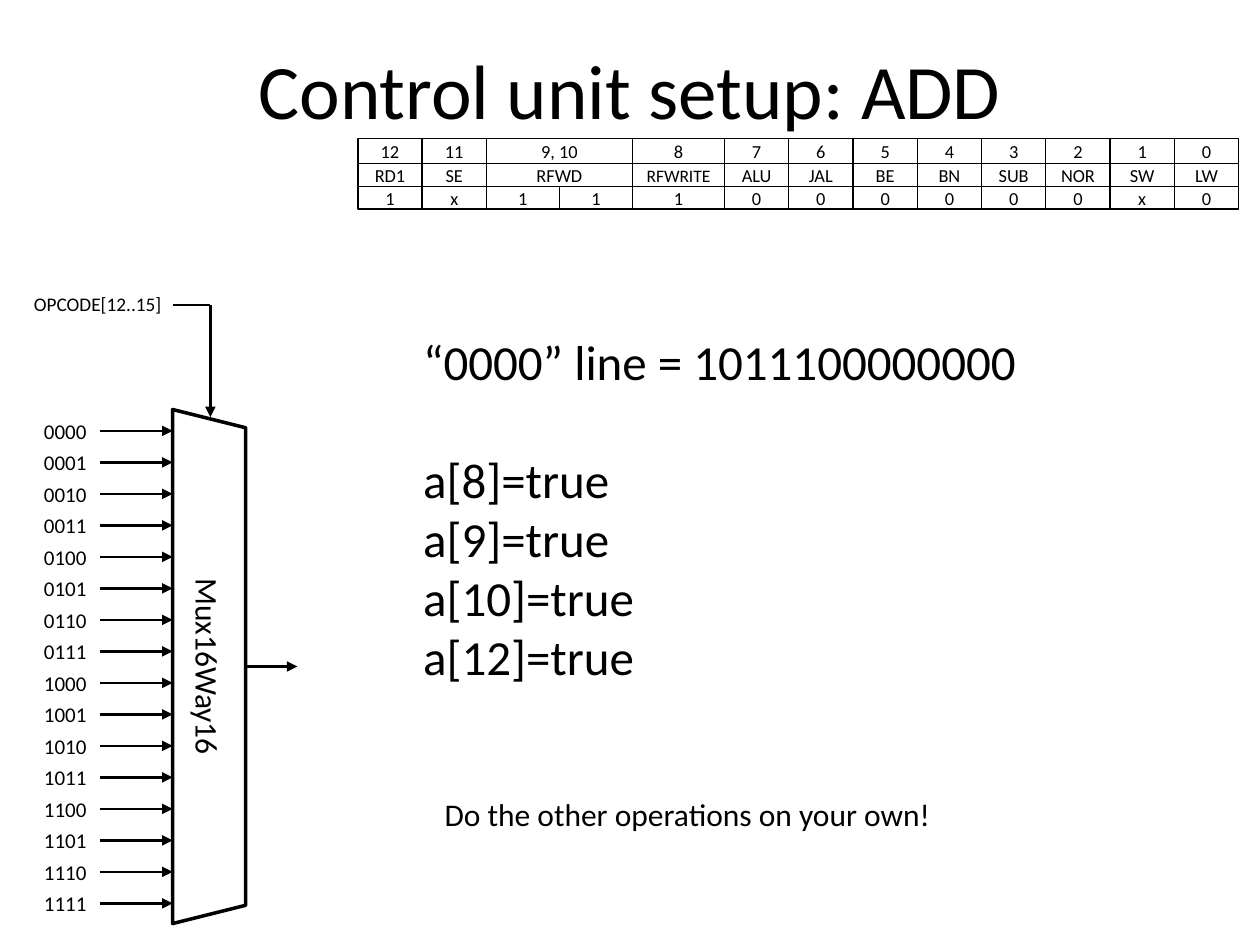
from lxml.etree import SubElement
from pptx import Presentation
from pptx.dml.color import RGBColor
from pptx.enum.shapes import MSO_CONNECTOR as Link, MSO_SHAPE as Shape
from pptx.enum.text import MSO_ANCHOR as Anchor, MSO_AUTO_SIZE as Fit, PP_ALIGN as Align
from pptx.oxml.ns import qn
from pptx.util import Inches, Pt

COLORS = {"ink": "000000"}
FONT = "Calibri"
INK = RGBColor.from_string(COLORS["ink"])

# Control word: one column per signal
NARROW, HALF, WIDE = 0.51, 0.58, 0.73
WIDTHS = [NARROW] * 2 + [HALF] * 2 + [WIDE] + [NARROW] * 8
BITS = ["12", "11", ("9, 10", 2), "8", "7", "6", "5", "4", "3", "2", "1", "0"]
NAMES = ["RD1", "SE", ("RFWD", 2), "RFWRITE", "ALU", "JAL", "BE", "BN",
         "SUB", "NOR", "SW", "LW"]
VALUES = list("1x11100000") + ["0", "x", "0"]
VALUES = ["1", "x", "1", "1", "1", "0", "0", "0", "0", "0", "0", "x", "0"]
ROWS = [(1.1, 0.2, BITS), (1.3, 0.18, NAMES), (1.48, 0.18, VALUES)]

# Multiplexer
MUX_LEFT, MUX_MID, MUX_RIGHT = 1.37, 1.67, 1.96
INPUTS, FIRST, STEP = 16, 3.42, 0.25


def write(shape, text, size=18, align=Align.LEFT, anchor=Anchor.TOP,
          wrap=True, fit=Fit.NONE, inset=None):
    """Fill a shape with text, one paragraph per line."""
    frame = shape.text_frame
    frame.text = text
    frame.word_wrap = wrap
    frame.auto_size = fit
    frame.vertical_anchor = anchor
    if inset is not None:
        frame.margin_left = frame.margin_right = Inches(inset)
        frame.margin_top = frame.margin_bottom = Inches(inset)
    for para in frame.paragraphs:
        para.alignment = align
        para.font.name = FONT
        para.font.size = Pt(size)
        para.font.color.rgb = INK
    return frame


def add_label(slide, box, text, **style):
    label = slide.shapes.add_textbox(*map(Inches, box))
    return write(label, text, **style)


def add_block(shapes, kind, box, text, weight, **style):
    """Add an outlined shape with centred text."""
    block = shapes.add_shape(kind, *map(Inches, box))
    block.shadow.inherit = False
    block.fill.background()
    block.line.color.rgb = INK
    block.line.width = Pt(weight)
    write(block, text, align=Align.CENTER, anchor=Anchor.MIDDLE, **style)
    return block


def add_wire(shapes, start, end, arrow=True):
    wire = shapes.add_connector(Link.STRAIGHT, *map(Inches, start + end))
    wire.line.color.rgb = INK
    wire.line.width = Pt(1.5)
    if arrow:
        SubElement(wire.line._get_or_add_ln(), qn("a:tailEnd"), type="triangle")
    SubElement(wire._element.spPr, qn("a:effectLst"))


def add_word(slide):
    """Draw the control word as a grid of cells."""
    group = slide.shapes.add_group_shape()
    for top, height, cells in ROWS:
        left, col = 2.84, 0
        for cell in cells:
            text, span = cell if isinstance(cell, tuple) else (cell, 1)
            width = sum(WIDTHS[col:col + span])
            size = 10 if text == "RFWRITE" else 10.5
            add_block(group.shapes, Shape.RECTANGLE, (left, top, width, height),
                      text, 0.75, size=size, inset=0)
            left, col = left + width, col + span


def add_mux(slide):
    """Draw the multiplexer with its inputs, selector and output."""
    mux = add_block(slide.shapes, Shape.TRAPEZOID, (-0.38, 5, 4.08, 0.58),
                    "Mux16Way16", 2)
    mux.rotation = 90

    # Selector and output
    add_label(slide, (0.17, 2.33, 1.25, 0.16), "OPCODE[12..15]", size=11,
              anchor=Anchor.MIDDLE, wrap=False)
    add_wire(slide.shapes, (MUX_LEFT, 2.42), (MUX_MID, 2.42), arrow=False)
    add_wire(slide.shapes, (MUX_MID, 2.42), (MUX_MID, 3.31))
    add_wire(slide.shapes, (MUX_RIGHT, 5.29), (2.36, 5.29))

    # Inputs
    group = slide.shapes.add_group_shape()
    for code in range(INPUTS):
        y = FIRST + code * STEP
        add_wire(group.shapes, (0.79, y), (MUX_LEFT, y))
        add_label(slide, (0.25, y - 0.15, 0.55, 0.3), f"{code:04b}", size=12,
                  wrap=False, fit=Fit.SHAPE_TO_FIT_TEXT)


def main():
    deck = Presentation()
    deck.slide_width, deck.slide_height = Inches(10), Inches(7.5)
    slide = deck.slides.add_slide(deck.slide_layouts[5])

    # Title
    title = slide.shapes.title
    title.left, title.top = Inches(0), Inches(0.3)
    title.width, title.height = Inches(10), Inches(0.81)
    write(title, "Control unit setup: ADD", size=44, align=Align.CENTER,
          anchor=Anchor.MIDDLE)

    add_mux(slide)

    # Resulting line and the bits it sets
    lines = ["“0000” line = 1011100000000"]
    lines += [f"a[{bit}]=true" for bit in (8, 9, 10, 12)]
    frame = add_label(slide, (3.26, 2.58, 5.56, 2.93), "\n".join(lines),
                      size=28, fit=Fit.SHAPE_TO_FIT_TEXT)
    frame.paragraphs[1].space_before = Pt(34)

    add_label(slide, (3.43, 6.26, 5.32, 0.4),
              "Do the other operations on your own!",
              fit=Fit.SHAPE_TO_FIT_TEXT)

    add_word(slide)
    deck.save("out.pptx")


if __name__ == "__main__":
    main()
